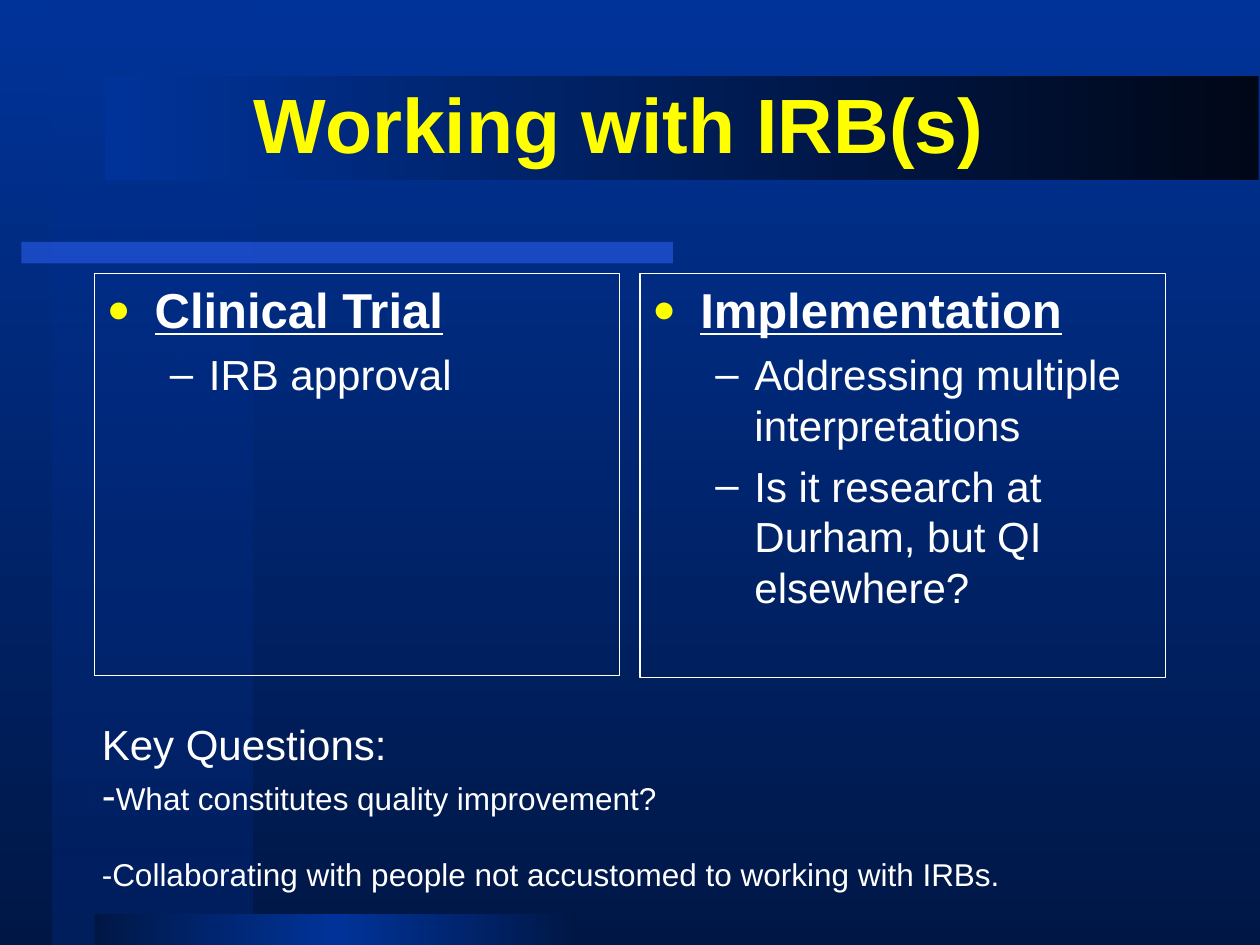
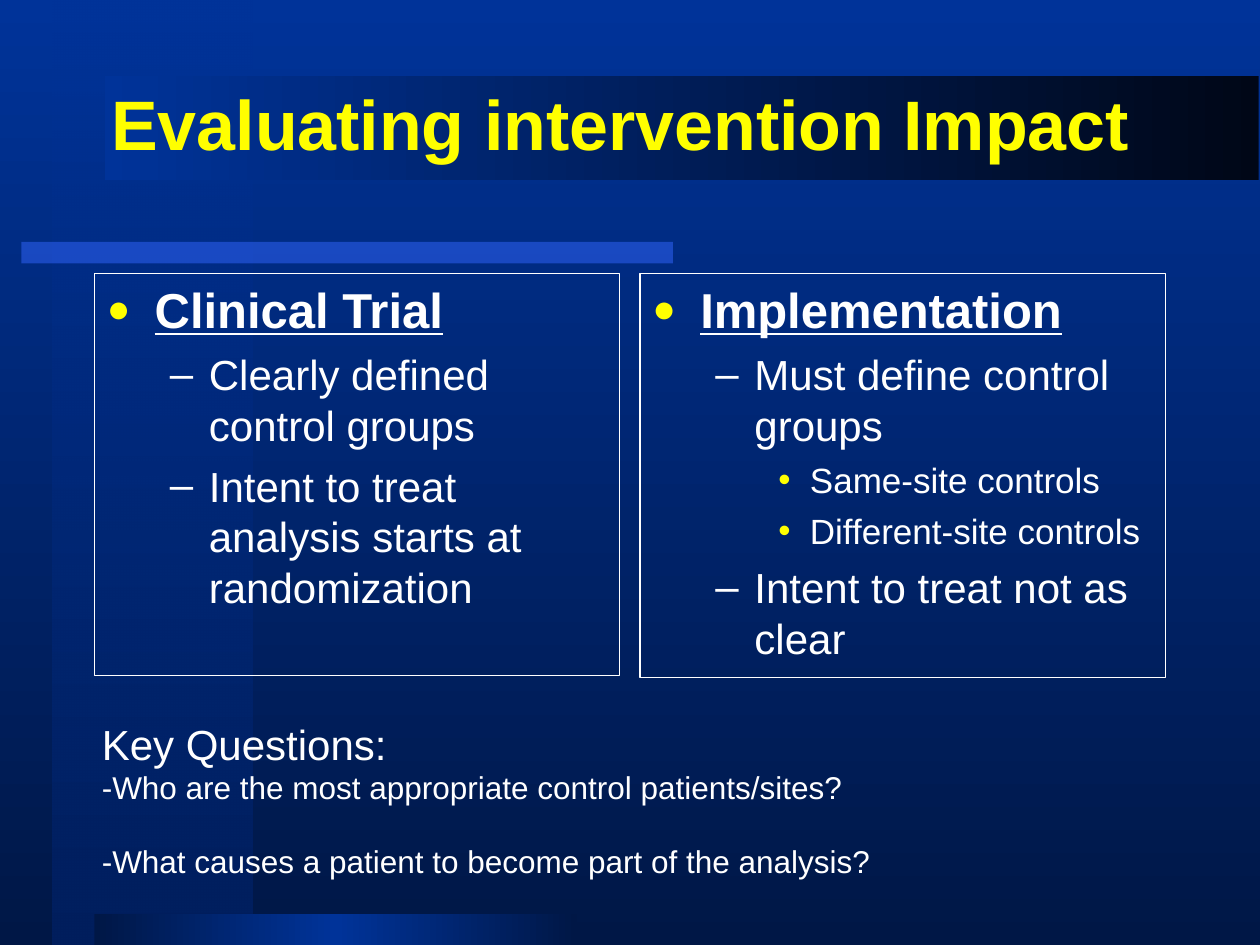
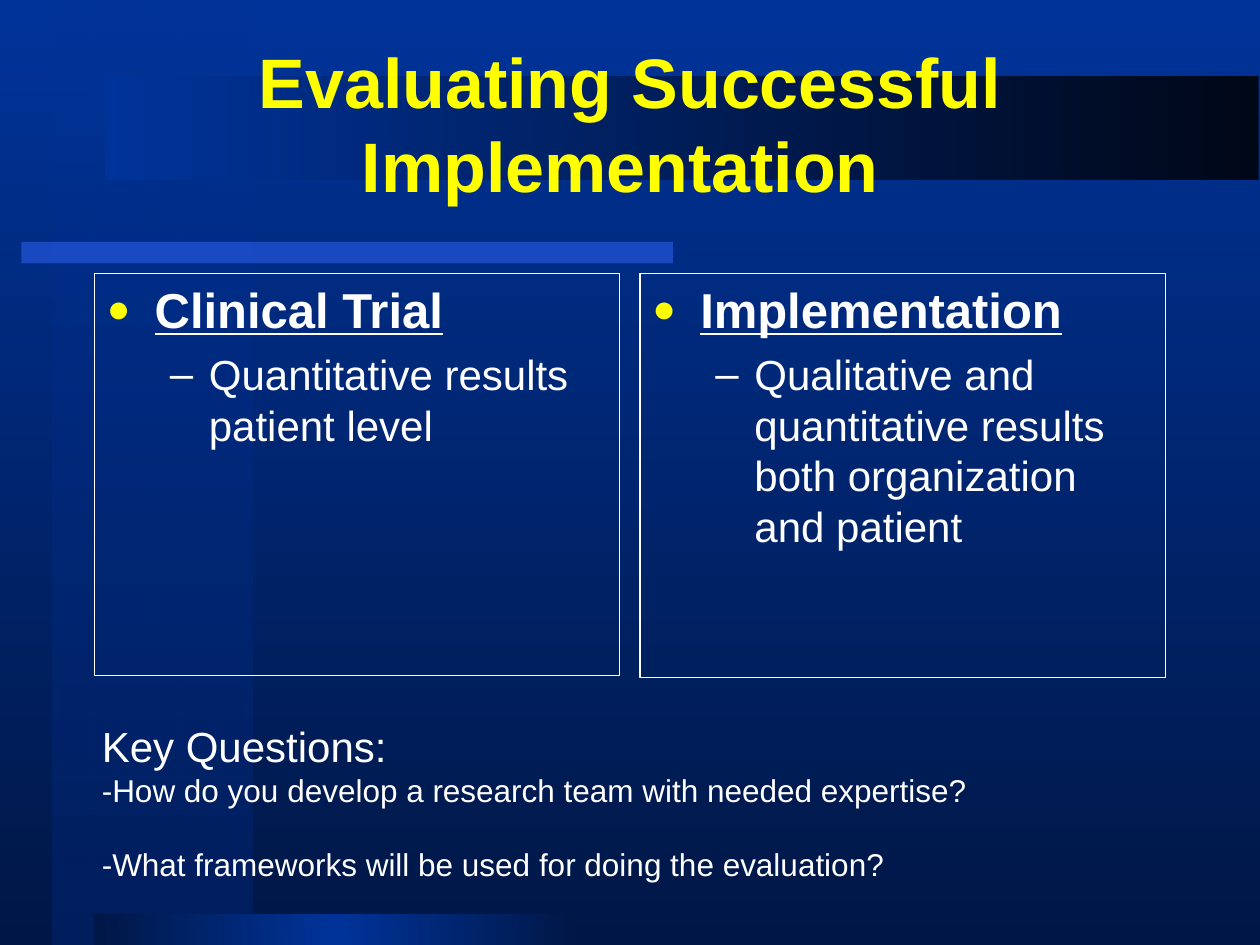
from dataclasses import dataclass

from lxml.etree import SubElement
from pptx import Presentation
from pptx.dml.color import RGBColor
from pptx.enum.shapes import MSO_SHAPE
from pptx.enum.text import MSO_ANCHOR, MSO_AUTO_SIZE, PP_ALIGN
from pptx.oxml.ns import qn
from pptx.util import Emu, Inches, Pt

SLIDES = [
    {
        "title": ("Working with IRB(s) ", 44),
        "Clinical Trial": [(1, "IRB approval")],
        "Implementation": [
            (1, "Addressing multiple interpretations"),
            (1, "Is it research at Durham, but QI elsewhere?"),
        ],
        "questions": [
            [("-", 24), ("What constitutes quality improvement?", 18)],
            [("-Collaborating with people not accustomed to working with IRBs.", 18)],
        ],
        "questions_box": (5.65, 1.5),
    },
    {
        "title": ("Evaluating intervention Impact ", 40),
        "Clinical Trial": [
            (1, "Clearly defined control groups"),
            (1, "Intent to treat analysis starts at randomization"),
        ],
        "Implementation": [
            (1, "Must define control groups"),
            (2, "Same-site controls"),
            (2, "Different-site controls"),
            (1, "Intent to treat not as clear"),
        ],
        "questions": [
            [("-Who are the most appropriate control patients/sites?", 18)],
            [("-What causes a patient to become part of the analysis?", 18)],
        ],
        "questions_box": (5.65, 1.4),
    },
    {
        "title": ("Evaluating Successful Implementation ", 40),
        "Clinical Trial": [(1, "Quantitative results patient level")],
        "Implementation": [
            (1, "Qualitative and quantitative results both organization and patient"),
        ],
        "questions": [
            [("-How do you develop a research team with needed expertise?", 18)],
            [("-What frameworks will be used for doing the evaluation?", 18)],
        ],
        "questions_box": (5.67, 1.4),
    },
]
QUESTIONS_HEADING = "Key Questions:"


@dataclass(frozen=True)
class Level:
    size: int
    indent: float
    hanging: float
    space_before: int
    bullet: str
    bullet_color: str
    bullet_percent: int = 100


@dataclass(frozen=True)
class Theme:
    font: str = "Arial"
    text: str = "FFFFFF"
    accent: str = "FFFF00"
    blue: str = "003399"
    navy: str = "001746"
    column_blue: str = "001F5E"
    rule_blue: str = "3366FF"
    band_black: str = "000717"
    heading_size: int = 24
    question_gap: float = 20.7
    border: float = 0.75


THEME = Theme()
LEVELS = [
    Level(28, 0.38, 0.38, 0, "●", THEME.accent, 80),
    Level(24, 0.81, 0.31, 6, "–", THEME.text),
    Level(20, 1.25, 0.25, 5, "•", THEME.accent),
]

WIDTH, HEIGHT = 10, 7.5
MARGIN = 0.75
COLUMN_WIDTH, COLUMN_TOP = 4.17, 2.17
COLUMN_STEP = WIDTH - 2 * MARGIN - COLUMN_WIDTH
COLUMNS = [("Clinical Trial", 3.19), ("Implementation", 3.21)]

# Each band: left, top, width, height, gradient angle, stops of (position, colour, opacity)
BANDS = [
    (0.42, 0, 1.58, HEIGHT, 90, [(0, THEME.blue, 50), (100, THEME.column_blue, 100)]),
    (0.17, 1.92, 5.17, 0.17, 0, [(0, THEME.rule_blue, 50), (100, THEME.rule_blue, 50)]),
    (MARGIN, 7.25, 3.83, 0.25, 180,
     [(0, THEME.navy, 100), (50, THEME.blue, 100), (100, THEME.navy, 100)]),
    (0.83, 0.6, 9.16, 0.83, 180, [(0, THEME.band_black, 100), (100, THEME.blue, 100)]),
]


def paint_gradient(owner, fill, angle, stops):
    """Fill a shape or a background with clockwise-angled gradient stops."""
    fill.gradient()
    gradient = owner.element.find(".//" + qn("a:gradFill"))
    for child in list(gradient):
        gradient.remove(child)
    stop_list = SubElement(gradient, qn("a:gsLst"))
    for position, color, opacity in stops:
        stop = SubElement(stop_list, qn("a:gs"), pos=str(position * 1000))
        shade = SubElement(stop, qn("a:srgbClr"), val=color)
        if opacity < 100:
            SubElement(shade, qn("a:alpha"), val=str(opacity * 1000))
    SubElement(gradient, qn("a:lin"), ang=str(angle * 60000), scaled="0")


def decorate_master(master, slide):
    """Give the master its background and bands, drawn on a slide and moved over."""
    paint_gradient(master, master.background.fill, 90,
                   [(0, THEME.blue, 100), (100, THEME.navy, 100)])
    for *place, angle, stops in BANDS:
        band = slide.shapes.add_shape(MSO_SHAPE.RECTANGLE, *map(Inches, place))
        band.shadow.inherit = False
        band.line.fill.background()
        paint_gradient(band, band.fill, angle, stops)
        master.shapes.element.append(band.element)


def add_box(slide, *place):
    box = slide.shapes.add_textbox(*map(Inches, place))
    box.text_frame.word_wrap = True
    return box


def next_paragraph(frame):
    first = frame.paragraphs[0]
    return frame.add_paragraph() if first.runs else first


def write(paragraph, text, size, color=THEME.text, bold=False, underline=False):
    run = paragraph.add_run()
    run.text = text
    font = run.font
    font.name, font.size = THEME.font, Pt(size)
    font.bold, font.underline = bold, underline
    font.color.rgb = RGBColor.from_string(color)


def set_bullet(paragraph, level):
    properties = paragraph._p.get_or_add_pPr()
    properties.set("marL", str(Inches(level.indent)))
    properties.set("indent", str(Emu(-Inches(level.hanging))))
    color = SubElement(properties, qn("a:buClr"))
    SubElement(color, qn("a:srgbClr"), val=level.bullet_color)
    SubElement(properties, qn("a:buSzPct"), val=str(level.bullet_percent * 1000))
    SubElement(properties, qn("a:buFont"), typeface=THEME.font)
    SubElement(properties, qn("a:buChar"), char=level.bullet)


def add_title(slide, text, size):
    frame = add_box(slide, MARGIN, 0.35, WIDTH - 2 * MARGIN, 1.25).text_frame
    frame.vertical_anchor = MSO_ANCHOR.MIDDLE
    frame.paragraphs[0].alignment = PP_ALIGN.CENTER
    write(frame.paragraphs[0], text, size, THEME.accent, bold=True)


def add_column(slide, index, heading, height, points):
    column = add_box(slide, MARGIN + index * COLUMN_STEP, COLUMN_TOP, COLUMN_WIDTH, height)
    column.line.color.rgb = RGBColor.from_string(THEME.text)
    column.line.width = Pt(THEME.border)
    for depth, text in [(0, heading), *points]:
        level = LEVELS[depth]
        paragraph = next_paragraph(column.text_frame)
        paragraph.level = depth
        set_bullet(paragraph, level)
        paragraph.space_before = Pt(level.space_before)
        is_heading = depth == 0
        write(paragraph, text, level.size, bold=is_heading, underline=is_heading)


def add_questions(slide, questions, top, height):
    frame = add_box(slide, 0.71, top, 8.83, height).text_frame
    frame.auto_size = MSO_AUTO_SIZE.SHAPE_TO_FIT_TEXT
    write(frame.paragraphs[0], QUESTIONS_HEADING, THEME.heading_size)
    for index, question in enumerate(questions):
        paragraph = next_paragraph(frame)
        paragraph.space_before = Pt(index * THEME.question_gap)
        for text, size in question:
            write(paragraph, text, size)


def main():
    deck = Presentation()
    deck.slide_width, deck.slide_height = Inches(WIDTH), Inches(HEIGHT)
    for number, content in enumerate(SLIDES):
        slide = deck.slides.add_slide(deck.slide_layouts[6])
        if number == 0:
            decorate_master(deck.slide_master, slide)
        add_title(slide, *content["title"])
        for index, (heading, height) in enumerate(COLUMNS):
            add_column(slide, index, heading, height, content[heading])
        add_questions(slide, content["questions"], *content["questions_box"])
    deck.save("out.pptx")


if __name__ == "__main__":
    main()
